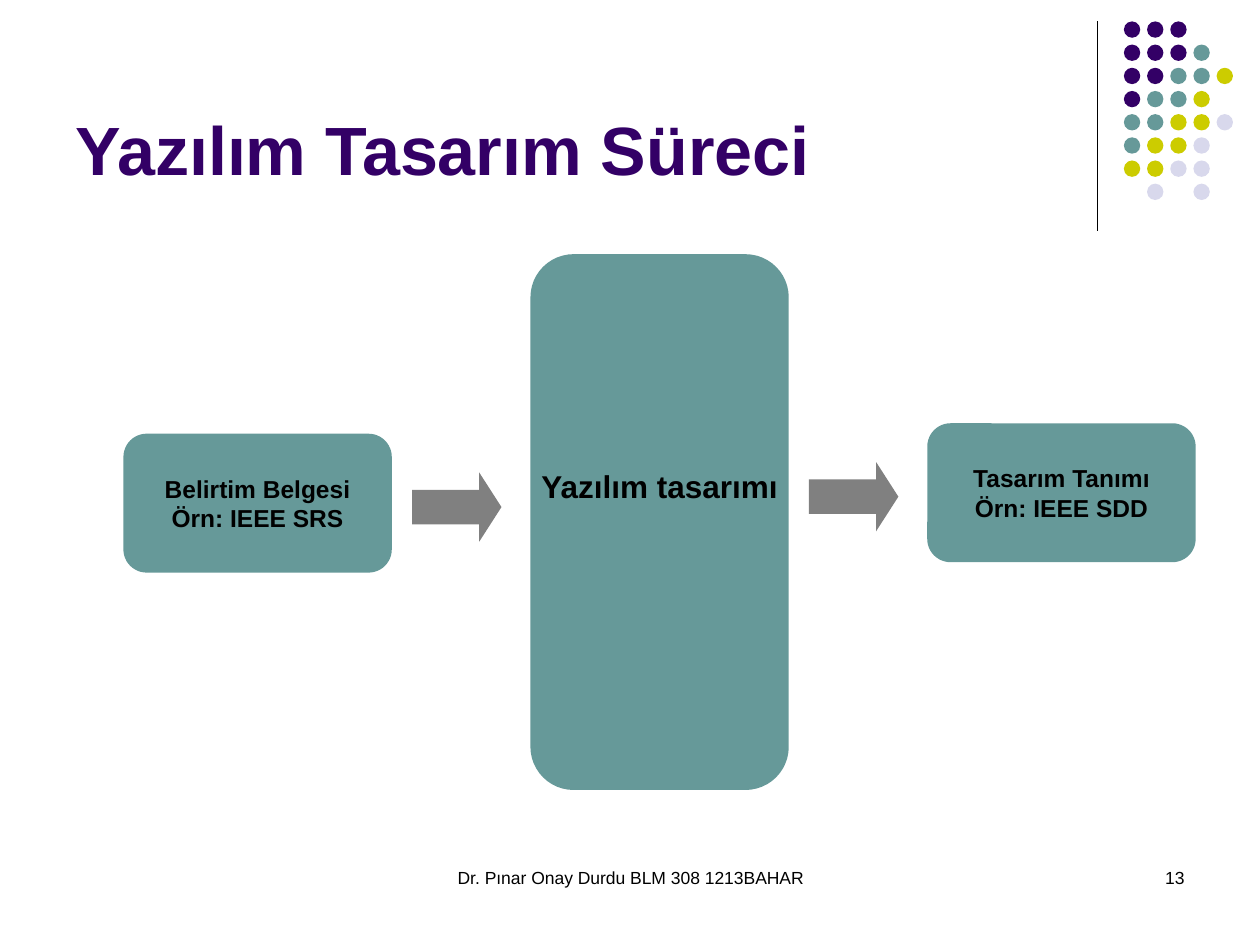
from lxml.etree import SubElement
from pptx import Presentation
from pptx.dml.color import RGBColor
from pptx.enum.shapes import MSO_CONNECTOR, MSO_SHAPE
from pptx.enum.text import MSO_ANCHOR as ANCHOR, PP_ALIGN as ALIGN
from pptx.oxml.ns import qn
from pptx.util import Inches, Pt

WIDTH, HEIGHT = 10, 7.5
BLACK = RGBColor(0x00, 0x00, 0x00)
PURPLE = RGBColor(0x33, 0x00, 0x66)
TEAL = RGBColor(0x66, 0x99, 0x99)
YELLOW = RGBColor(0xCC, 0xCC, 0x00)
LAVENDER = RGBColor(0xD8, 0xD8, 0xEC)
GRAY = RGBColor(0x80, 0x80, 0x80)

DOT_COLORS = {"P": PURPLE, "T": TEAL, "Y": YELLOW, "L": LAVENDER}
DOT_ROWS = ["PPP", "PPPT", "PPTTY", "PTTY", "TTYYL", "TYYL", "YYLL", " L L"]
DOT_LEFT, DOT_TOP, DOT_STEP, DOT_SIZE = 8.92, 0.17, 0.184, 0.13


def box(x, y, w, h):
    """Turn shares of the slide's size into lengths."""
    return (Inches(x * WIDTH), Inches(y * HEIGHT),
            Inches(w * WIDTH), Inches(h * HEIGHT))


def write(tf, lines, size, color=BLACK, bold=False, align=ALIGN.CENTER):
    for i, line in enumerate(lines):
        p = tf.paragraphs[0] if i == 0 else tf.add_paragraph()
        p.alignment = align
        r = p.add_run()
        r.text = line
        r.font.name = "Arial"
        r.font.size = Pt(size)
        r.font.bold = bold
        r.font.color.rgb = color


def add_text(s, at, text, size, anchor=ANCHOR.TOP, **style):
    tf = s.shapes.add_textbox(*at).text_frame
    tf.word_wrap = True
    tf.vertical_anchor = anchor
    write(tf, [text], size, **style)


def add_filled(s, kind, at, color):
    sp = s.shapes.add_shape(kind, *at)
    sp.shadow.inherit = False
    sp.fill.solid()
    sp.fill.fore_color.rgb = color
    sp.line.fill.background()
    return sp


def add_stage(s, at, lines, size, bottom=0.05):
    sp = add_filled(s, MSO_SHAPE.ROUNDED_RECTANGLE, at, TEAL)
    sp.adjustments[0] = 0.167
    tf = sp.text_frame
    tf.word_wrap = False
    tf.vertical_anchor = ANCHOR.MIDDLE
    tf.margin_bottom = Inches(bottom)
    write(tf, lines, size, bold=True)


def add_arrow(s, x, y):
    sp = add_filled(s, MSO_SHAPE.RIGHT_ARROW, box(x, y, 0.071, 0.0733), GRAY)
    sp.adjustments[1] = 0.321


def add_rule(s, x, top, bottom):
    line = s.shapes.add_connector(
        MSO_CONNECTOR.STRAIGHT, Inches(x), Inches(top), Inches(x), Inches(bottom))
    line.line.color.rgb = BLACK
    line.line.width = Pt(0.75)
    SubElement(line._element.spPr, qn("a:effectLst"))


def add_dots(s):
    for row, codes in enumerate(DOT_ROWS):
        for col, code in enumerate(codes):
            if code in DOT_COLORS:
                at = (Inches(DOT_LEFT + col * DOT_STEP),
                      Inches(DOT_TOP + row * DOT_STEP),
                      Inches(DOT_SIZE), Inches(DOT_SIZE))
                add_filled(s, MSO_SHAPE.OVAL, at, DOT_COLORS[code])


def main():
    prs = Presentation()
    prs.slide_width, prs.slide_height = Inches(WIDTH), Inches(HEIGHT)
    s = prs.slides.add_slide(prs.slide_layouts[6])

    add_rule(s, 8.71, 0.17, 1.83)
    add_dots(s)
    add_text(s, box(0.342, 0.911, 0.317, 0.067),
             "Dr. Pınar Onay Durdu BLM 308 1213BAHAR", 10, align=ALIGN.CENTER)
    add_text(s, box(0.717, 0.911, 0.233, 0.067), "13", 10, align=ALIGN.RIGHT)
    add_text(s, box(0.05, 0.017, 0.825, 0.19), "Yazılım Tasarım Süreci", 39,
             ANCHOR.BOTTOM, color=PURPLE, bold=True, align=ALIGN.LEFT)

    add_stage(s, box(0.098, 0.459, 0.213, 0.147),
              ["Belirtim Belgesi", "Örn: IEEE SRS"], 14)
    add_stage(s, box(0.736, 0.448, 0.213, 0.147),
              ["Tasarım Tanımı", "Örn: IEEE SDD"], 14)
    add_stage(s, box(0.421, 0.269, 0.205, 0.567),
              ["Yazılım tasarımı"], 18, bottom=0.63)
    add_arrow(s, 0.327, 0.5)
    add_arrow(s, 0.642, 0.489)

    prs.save("out.pptx")


if __name__ == "__main__":
    main()
